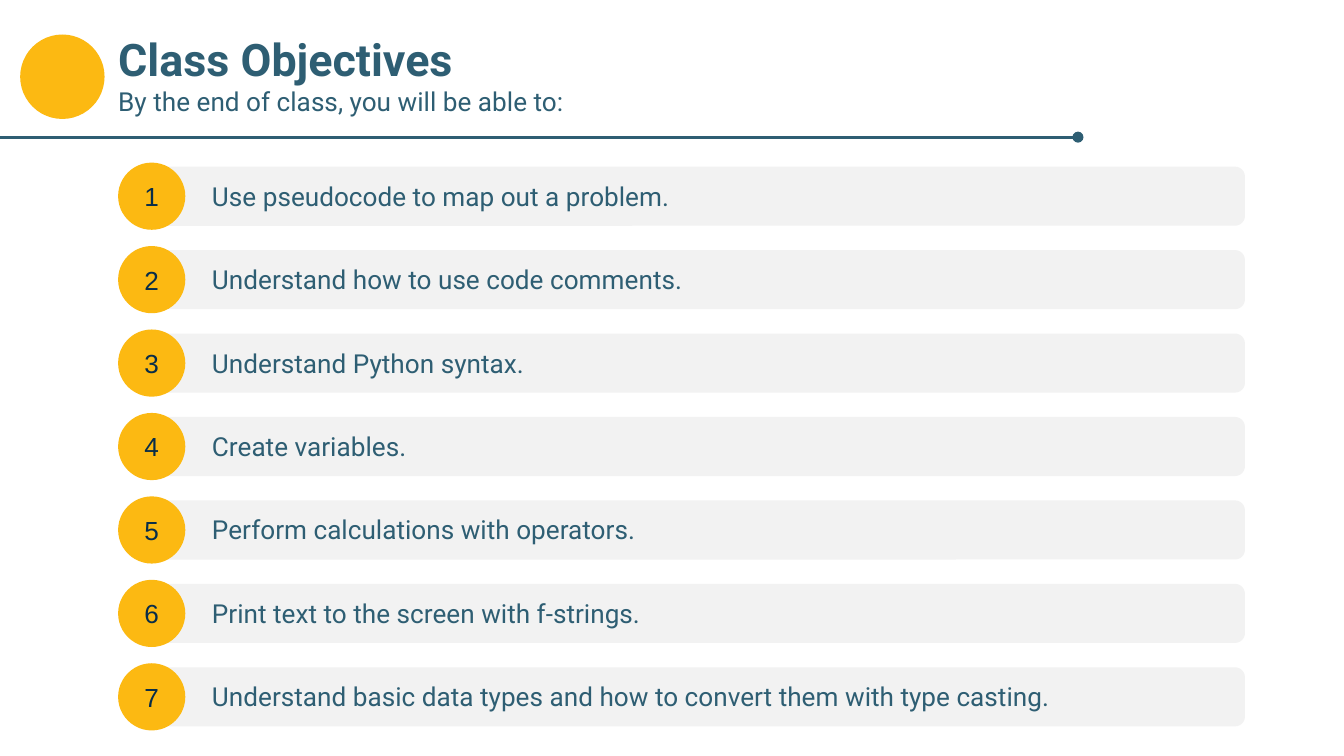
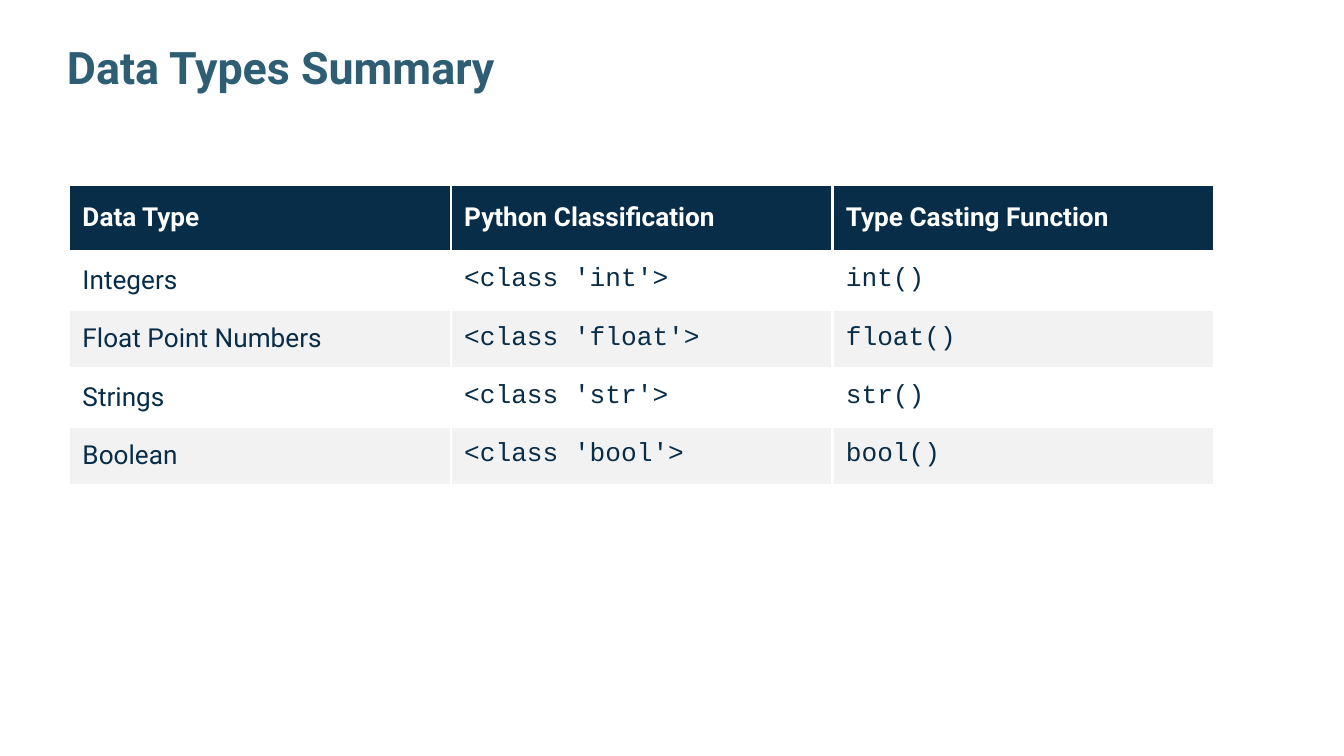
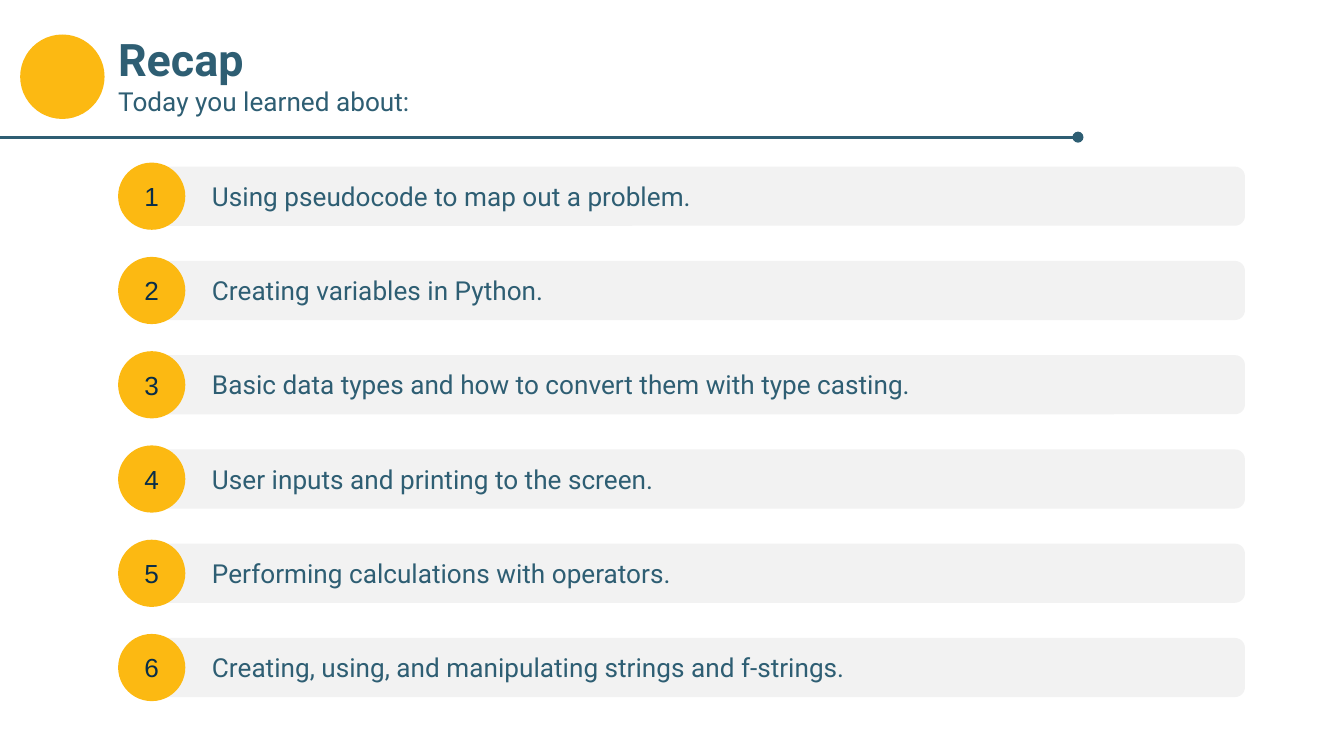
from dataclasses import dataclass

from lxml.etree import SubElement
from pptx import Presentation
from pptx.dml.color import RGBColor
from pptx.enum.shapes import MSO_CONNECTOR as CONN, MSO_SHAPE as SHAPE
from pptx.enum.text import MSO_ANCHOR as ANCHOR, MSO_AUTO_SIZE as AUTO, PP_ALIGN as ALIGN
from pptx.oxml.ns import qn
from pptx.util import Pt

COLORS = {
    "teal": "2E5E73",
    "navy": "082D49",
    "yellow": "FCB912",
    "gray": "F2F2F2",
    "white": "FFFFFF",
}
BODY, DIGITS, CODE = "Roboto", "Arial", "Courier New"
INSET = 7.2
TITLE_TOP, TITLE_H = 10, 45.4
BAR_TOP, BAR_H, BADGE = 89.3, 31.7, 36
COL_W, HEADER_H, ROW_H = 204.5, 36, 30.9


@dataclass(frozen=True)
class NumberedList:
    title: str
    subtitle: str
    pitch: float
    items: tuple[str, ...]


OBJECTIVES = NumberedList(
    "Class Objectives", "By the end of class, you will be able to:", 44.7,
    (
        "Use pseudocode to map out a problem.",
        "Understand how to use code comments.",
        "Understand Python syntax.",
        "Create variables.",
        "Perform calculations with operators.",
        "Print text to the screen with f-strings.",
        "Understand basic data types and how to convert them with type casting.",
    ),
)
RECAP = NumberedList(
    "Recap", "Today you learned about:", 50.5,
    (
        "Using pseudocode to map out a problem.",
        "Creating variables in Python.",
        "Basic data types and how to convert them with type casting.",
        "User inputs and printing to the screen.",
        "Performing calculations with operators.",
        "Creating, using, and manipulating strings and f-strings.",
    ),
)
HEADERS = ("Data Type", "Python Classification", "Type Casting Function")
TYPES = (
    ("Integers", "int"),
    ("Float Point Numbers", "float"),
    ("Strings", "str"),
    ("Boolean", "bool"),
)


def rgb(name: str) -> RGBColor:
    return RGBColor.from_string(COLORS[name])


def write(p, text: str, *, size=14, font=BODY, color="teal", bold=False, align=None) -> None:
    r = p.add_run()
    r.text = text
    r.font.size, r.font.name, r.font.bold = Pt(size), font, bold
    r.font.color.rgb = rgb(color)
    if align is not None:
        p.alignment = align


def set_insets(target) -> None:
    target.margin_left = target.margin_right = Pt(INSET)
    target.margin_top = target.margin_bottom = Pt(INSET)


def add_box(slide, left: float, top: float, width: float, height: float):
    """Add a wrapping text box and return its text frame."""
    tf = slide.shapes.add_textbox(Pt(left), Pt(top), Pt(width), Pt(height)).text_frame
    tf.word_wrap = True
    set_insets(tf)
    return tf


def add_filled(slide, kind, left: float, top: float, width: float, height: float, color: str):
    """Add a preset shape with a plain fill, no outline and no shadow."""
    sp = slide.shapes.add_shape(kind, Pt(left), Pt(top), Pt(width), Pt(height))
    sp.shadow.inherit = False
    sp.fill.solid()
    sp.fill.fore_color.rgb = rgb(color)
    sp.line.fill.background()
    return sp


def add_title(slide, text: str, left: float, width: float):
    tf = add_box(slide, left, TITLE_TOP, width, TITLE_H)
    write(tf.paragraphs[0], text, size=24, bold=True)
    return tf


def add_title_rule(slide) -> None:
    line = slide.shapes.add_connector(CONN.STRAIGHT, Pt(0), Pt(73.5), Pt(577.5), Pt(73.5))
    line.line.color.rgb = rgb("teal")
    line.line.width = Pt(1.5)
    SubElement(line.line._get_or_add_ln(), qn("a:tailEnd"), type="oval")
    SubElement(line._element.spPr, qn("a:effectLst"))


def add_item(slide, number: int, text: str, top: float) -> None:
    """Add one bar with its label and numbered badge."""
    bar = add_filled(slide, SHAPE.ROUNDED_RECTANGLE, 75, top, 592, BAR_H, "gray")
    bar.adjustments[0] = 0.17

    tf = add_box(slide, 106.5, top, 543, BAR_H)
    tf.auto_size = AUTO.SHAPE_TO_FIT_TEXT
    write(tf.paragraphs[0], text)

    badge_top = top + (BAR_H - BADGE) / 2
    tf = add_filled(slide, SHAPE.OVAL, 63.3, badge_top, BADGE, BADGE, "yellow").text_frame
    tf.vertical_anchor = ANCHOR.MIDDLE
    set_insets(tf)
    write(tf.paragraphs[0], str(number), font=DIGITS, color="navy", align=ALIGN.CENTER)


def build_list_slide(slide, content: NumberedList) -> None:
    add_filled(slide, SHAPE.OVAL, 10.8, 18.5, 45.2, 45.2, "yellow")
    tf = add_title(slide, content.title, 56.2, 639.4)
    write(tf.add_paragraph(), content.subtitle)
    add_title_rule(slide)
    for i, text in enumerate(content.items):
        add_item(slide, i + 1, text, BAR_TOP + i * content.pitch)


def fill_cell(cell, text: str, fill: str, **text_format) -> None:
    set_insets(cell)
    tc_pr = cell._tc.get_or_add_tcPr()
    for side in ("lnL", "lnR", "lnT", "lnB"):
        ln = SubElement(tc_pr, qn(f"a:{side}"), w=str(Pt(1.5)))
        SubElement(SubElement(ln, qn("a:solidFill")), qn("a:srgbClr"), val=COLORS["white"])
    cell.fill.solid()
    cell.fill.fore_color.rgb = rgb(fill)
    write(cell.text_frame.paragraphs[0], text, **text_format)


def build_types_slide(slide) -> None:
    p = add_title(slide, "Data Types Summary", 28.8, 666.7).paragraphs[0]
    p.line_spacing, p.space_after = 1.15, Pt(16)

    height = HEADER_H + len(TYPES) * ROW_H
    table = slide.shapes.add_table(
        len(TYPES) + 1, len(HEADERS), Pt(37), Pt(98.8), Pt(COL_W * len(HEADERS)), Pt(height)
    ).table
    for col in table.columns:
        col.width = Pt(COL_W)
    for i, row in enumerate(table.rows):
        row.height = Pt(ROW_H if i else HEADER_H)

    for j, text in enumerate(HEADERS):
        cell = table.cell(0, j)
        cell.vertical_anchor = ANCHOR.MIDDLE
        fill_cell(cell, text, "navy", color="white", bold=True)
    for i, (label, name) in enumerate(TYPES, 1):
        fill = "white" if i % 2 else "gray"
        for j, text in enumerate((label, f"<class '{name}'>", f"{name}()")):
            fill_cell(table.cell(i, j), text, fill, font=CODE if j else BODY, color="navy")


def main() -> None:
    prs = Presentation()
    prs.slide_width, prs.slide_height = Pt(720), Pt(405)
    blank = prs.slide_layouts[6]
    build_list_slide(prs.slides.add_slide(blank), OBJECTIVES)
    build_types_slide(prs.slides.add_slide(blank))
    build_list_slide(prs.slides.add_slide(blank), RECAP)
    prs.save("out.pptx")


if __name__ == "__main__":
    main()
